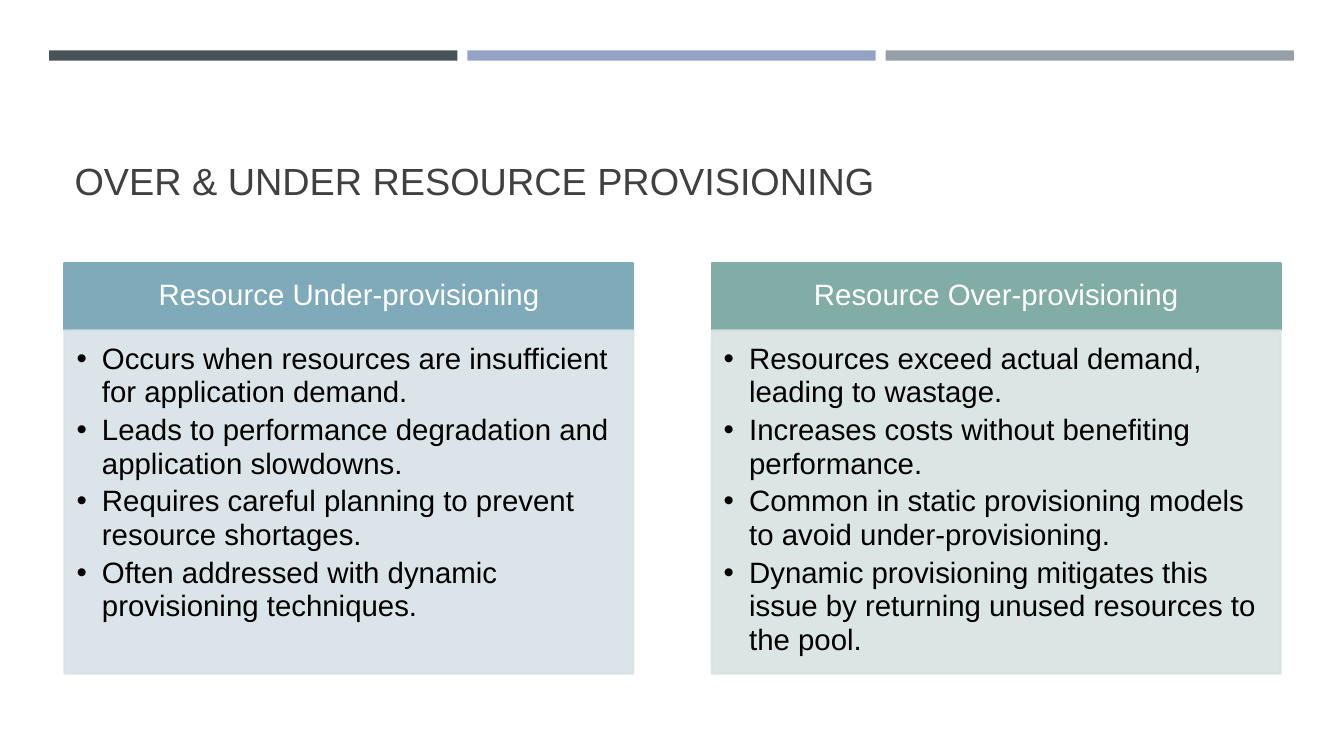
from lxml.etree import SubElement as Sub
from pptx import Presentation
from pptx.dml.color import RGBColor as Rgb
from pptx.enum.shapes import MSO_SHAPE as Shape
from pptx.enum.text import MSO_ANCHOR as Anchor, PP_ALIGN as Align
from pptx.oxml.ns import qn
from pptx.util import Cm, Pt

HUES = {
    "slate": "465359", "blue": "94A3C5", "gray": "969FA7",
    "title": "404040", "white": "FFFFFF", "black": "000000",
    "under": "7FAABA", "under_pale": "D8E2E7",
    "over": "82ACA6", "over_pale": "D8E3E1",
}
PANELS = [
    ("under", "Resource Under-provisioning", [
        "Occurs when resources are insufficient for application demand.",
        "Leads to performance degradation and application slowdowns.",
        "Requires careful planning to prevent resource shortages.",
        "Often addressed with dynamic provisioning techniques.",
    ]),
    ("over", "Resource Over-provisioning", [
        "Resources exceed actual demand, leading to wastage.",
        "Increases costs without benefiting performance.",
        "Common in static provisioning models to avoid under-provisioning.",
        "Dynamic provisioning mitigates this issue by returning unused "
        "resources to the pool.",
    ]),
]


class Page:
    font = "Arial"

    def __init__(self, slide):
        self.slide = slide

    def rect(self, x, y, w, h, hue, edge=0, alpha=100):
        """Draw a filled box; edge is the line width in points."""
        box = self.slide.shapes.add_shape(
            Shape.RECTANGLE, Cm(x), Cm(y), Cm(w), Cm(h))
        box.shadow.inherit = False
        fills = [box.fill]
        if edge:
            box.line.width = Pt(edge)
            fills.append(box.line.fill)
        else:
            box.line.fill.background()
        for fill in fills:
            fill.solid()
            fill.fore_color.rgb = Rgb.from_string(HUES[hue])
        if alpha < 100:
            for tint in box.element.spPr.iter(qn("a:srgbClr")):
                Sub(tint, qn("a:alpha"), val=str(alpha * 1000))
        return box

    def label(self, box, lines, size, hue, pads, anchor=Anchor.TOP,
              align=Align.LEFT, space=0.9, after=0, dots=False):
        """Fill a shape with text; pads are left, top, right, bottom."""
        frame = box.text_frame
        frame.word_wrap = True
        frame.vertical_anchor = anchor
        (frame.margin_left, frame.margin_top,
         frame.margin_right, frame.margin_bottom) = map(Cm, pads)
        frame.text = "\n".join(lines)
        for para in frame.paragraphs:
            para.alignment = align
            para.line_spacing = space
            para.space_after = Pt(after)
            if dots:
                self.dot(para)
            for run in para.runs:
                run.font.name = self.font
                run.font.size = Pt(size)
                run.font.color.rgb = Rgb.from_string(HUES[hue])

    def dot(self, para):
        """Give a paragraph a hanging bullet."""
        props = para._p.get_or_add_pPr()
        props.set("marL", str(Cm(0.64)))
        props.set("indent", str(-Cm(0.64)))
        Sub(props, qn("a:buFont"), typeface=self.font)
        Sub(props, qn("a:buChar"), char="•")

    def title(self, text):
        box = self.slide.shapes.add_textbox(
            Cm(1.63), Cm(1.96), Cm(30.63), Cm(3.3))
        self.label(box, [text], 27, "title", (0.25, 0.13, 0.25, 0.13),
                   anchor=Anchor.BOTTOM)

    def panel(self, x, hue, head, points):
        """Draw a heading bar above a pale box of bullets."""
        wide = 14.33
        bar = self.rect(x, 6.63, wide, 1.68, hue, edge=1.75)
        self.label(bar, [head], 21, "white", (0.41, 0.23, 0.41, 0.23),
                   anchor=Anchor.MIDDLE, align=Align.CENTER)
        body = self.rect(x, 8.33, wide, 8.64, hue + "_pale",
                         edge=1.75, alpha=90)
        self.label(body, points, 21, "black", (0.3, 0.3, 0.41, 0.46),
                   space=0.95, after=3, dots=True)


def main():
    deck = Presentation()
    deck.slide_width, deck.slide_height = Cm(33.87), Cm(19.05)
    page = Page(deck.slides.add_slide(deck.slide_layouts[6]))
    for i, hue in enumerate(("slate", "blue", "gray")):
        page.rect(1.24 + 10.54 * i, 1.27, 10.29, 0.26, hue)
    page.title("OVER & UNDER RESOURCE PROVISIONING")
    for i, (hue, head, points) in enumerate(PANELS):
        page.panel(1.63 + 16.31 * i, hue, head, points)
    deck.save("out.pptx")


if __name__ == "__main__":
    main()
